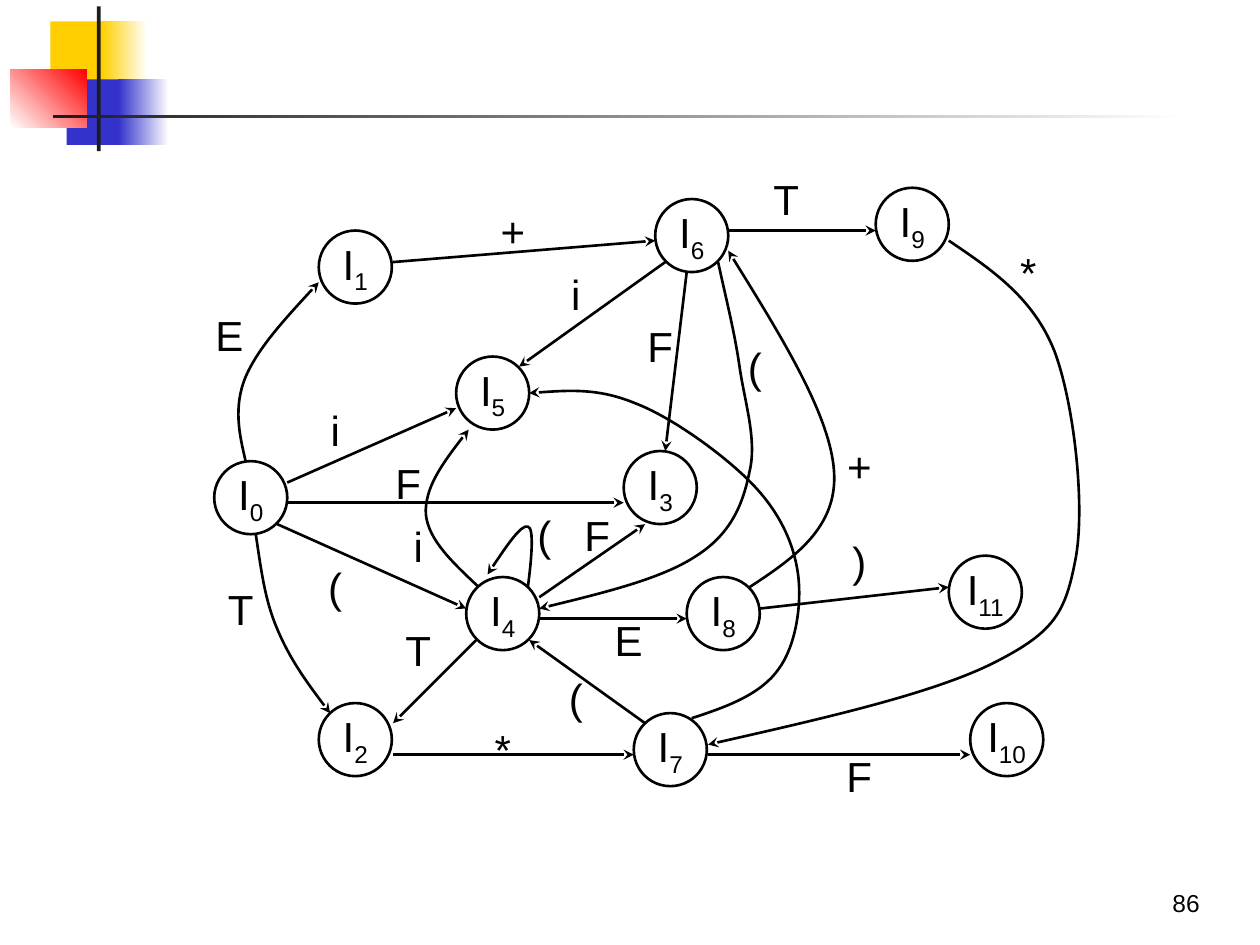
from lxml import etree
from pptx import Presentation
from pptx import util as u
from pptx.dml.color import RGBColor
from pptx.enum import shapes, text
from pptx.oxml.ns import qn

PX = 9144  # EMU per px, 100 px to the inch
FONT = "Arial"
COLORS = {"ink": "000000", "bar": "1C1C1C", "white": "FFFFFF",
          "yellow": "FFCF01", "blue": "3333CC", "red": "FF0000"}
RGB = {name: RGBColor.from_string(value) for name, value in COLORS.items()}
NODE = 58

deck = Presentation()
deck.slide_width, deck.slide_height = 1000 * PX, 750 * PX
page = deck.slides.add_slide(deck.slide_layouts[6])


def write(box, words, size=24, align=text.PP_ALIGN.CENTER, anchor=text.MSO_ANCHOR.MIDDLE):
    """Fill a box with one unwrapped line; a second word becomes a subscript."""
    frame = box.text_frame
    frame.word_wrap = False
    frame.vertical_anchor = anchor
    para = frame.paragraphs[0]
    para.alignment = align
    para.font.size, para.font.name = u.Pt(size), FONT
    para.font.color.rgb = RGB["ink"]
    for index, word in enumerate(words):
        span = para.add_run()
        span.text = word
        if index:
            span.font._element.set("baseline", "-25000")


def draw_arrow(shape):
    """Give a connector or curve a black line with a stealth head and no shadow."""
    shape.line.color.rgb = RGB["ink"]
    shape.line.width = u.Pt(1.5)
    etree.SubElement(shape.line._get_or_add_ln(), qn("a:tailEnd"), type="stealth")
    properties = shape._element.spPr
    if properties.find(qn("a:effectLst")) is None:
        etree.SubElement(properties, qn("a:effectLst"))


# Corner ornament: left, top, width, height, start colour, end colour, angle
ornament = [
    (40, 17, 48, 52, "yellow", None, 0),
    (81, 17, 36, 52, "yellow", "white", 0),
    (53, 63, 46, 52, "blue", None, 0),
    (94, 63, 40, 52, "blue", "white", 0),
    (8, 55, 61, 46, "white", "red", 45),
    (77, 5, 3, 115, "bar", None, 0),
    (42, 91, 900, 3, "bar", "white", 0),
]
for *place, start, end, angle in ornament:
    block = page.shapes.add_shape(shapes.MSO_SHAPE.RECTANGLE, *[v * PX for v in place])
    block.shadow.inherit = False
    block.line.fill.background()
    if end:
        block.fill.gradient()
        block.fill.gradient_angle = angle
        for stop, name in zip(block.fill.gradient_stops, (start, end)):
            stop.color.rgb = RGB[name]
    else:
        block.fill.solid()
        block.fill.fore_color.rgb = RGB[start]

number = page.shapes.add_textbox(754 * PX, 683 * PX, 208 * PX, 50 * PX)
write(number, ["86"], 14, text.PP_ALIGN.RIGHT, text.MSO_ANCHOR.BOTTOM)

# States I0 to I11, by top left corner
states = [(170, 366), (253, 183), (253, 558), (495, 358), (370, 458), (362, 283),
          (520, 158), (503, 566), (545, 458), (695, 149), (770, 558), (753, 441)]
for index, (left, top) in enumerate(states):
    state = page.shapes.add_shape(shapes.MSO_SHAPE.OVAL, left * PX, top * PX, NODE * PX, NODE * PX)
    state.shadow.inherit = False
    state.fill.background()
    state.line.color.rgb = RGB["ink"]
    state.line.width = u.Pt(1.5)
    write(state, ["I", str(index)])

straight_moves = [
    (228, 383, 362, 324), (228, 399, 495, 399), (220, 416, 370, 483),
    (378, 508, 312, 574), (512, 574, 420, 508), (312, 599, 503, 599),
    (562, 599, 770, 599), (312, 208, 520, 191), (578, 183, 695, 183),
    (428, 474, 512, 416), (428, 491, 545, 491), (528, 208, 412, 291),
    (545, 216, 528, 358), (603, 483, 753, 466),
]
for ends in straight_moves:
    draw_arrow(page.shapes.add_connector(shapes.MSO_CONNECTOR.STRAIGHT, *[v * PX for v in ends]))

# Each curve: a start point, then three Bézier points per segment
curved_moves = [
    [(195, 366), (190, 345), (185, 323), (195, 299), (205, 276), (229, 250), (253, 224)],
    [(203, 424), (207, 450), (210, 476), (220, 499), (230, 523), (246, 545), (262, 566)],
    [(380, 466), (360, 447), (340, 429), (338, 408), (337, 387), (354, 364), (372, 341)],
    [(419, 466), (422, 443), (424, 419), (419, 418), (414, 416), (400, 436), (387, 456)],
    [(549, 570), (577, 561), (604, 551), (618, 531), (632, 512), (637, 478), (633, 453),
     (629, 428), (617, 404), (595, 382), (573, 360), (533, 331), (504, 320),
     (475, 308), (447, 310), (420, 312)],
    [(595, 466), (630, 443), (665, 419), (662, 374), (659, 330), (619, 265), (578, 199)],
    [(753, 191), (787, 214), (820, 236), (837, 279), (853, 322), (862, 406), (853, 447),
     (845, 488), (835, 503), (787, 527), (738, 551), (650, 571), (562, 591)],
    [(570, 208), (576, 236), (583, 263), (587, 291), (591, 319), (601, 349), (595, 374),
     (590, 399), (581, 423), (553, 441), (526, 459), (477, 471), (428, 483)],
]
for start, *points in curved_moves:
    builder = page.shapes.build_freeform(*start, scale=PX)
    builder.add_line_segments(points, close=False)
    curve = builder.convert_to_shape()
    curve.shadow.inherit = False
    curve.fill.background()
    outline = next(curve._element.iter(qn("a:path")))
    segments = outline.findall(qn("a:lnTo"))
    for first in range(0, len(segments), 3):
        bezier = etree.SubElement(outline, qn("a:cubicBezTo"))
        for segment in segments[first:first + 3]:
            bezier.append(segment[0])
            outline.remove(segment)
    draw_arrow(curve)

# Move labels by box height
labels = {
    50: [("E", 153, 241), ("+", 378, 158), ("T", 595, 133), ("*", 787, 191),
         ("T", 162, 458), ("T", 303, 491), ("i", 237, 316), ("F", 295, 358),
         ("(", 237, 441), ("i", 303, 408), ("(", 403, 399), ("F", 445, 399),
         ("E", 470, 483), ("(", 570, 266), ("F", 495, 249), ("i", 428, 208),
         ("+", 653, 345), ("F", 653, 591)],
    42: [("(", 428, 533), (")", 653, 424)],
    33: [("*", 370, 578)],
}
for height, group in labels.items():
    for symbol, left, top in group:
        write(page.shapes.add_textbox(left * PX, top * PX, NODE * PX, height * PX), [symbol])

deck.save("out.pptx")
